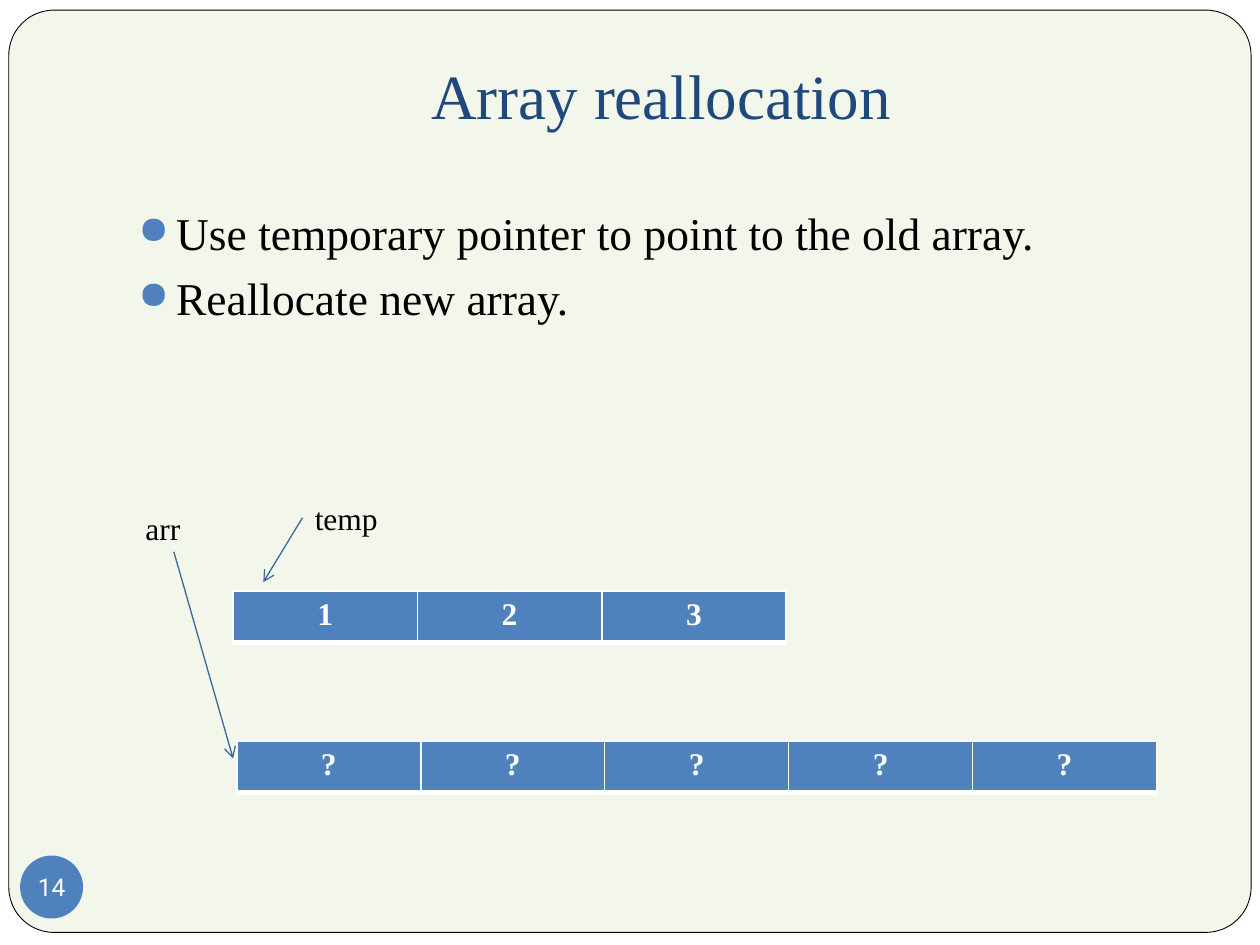
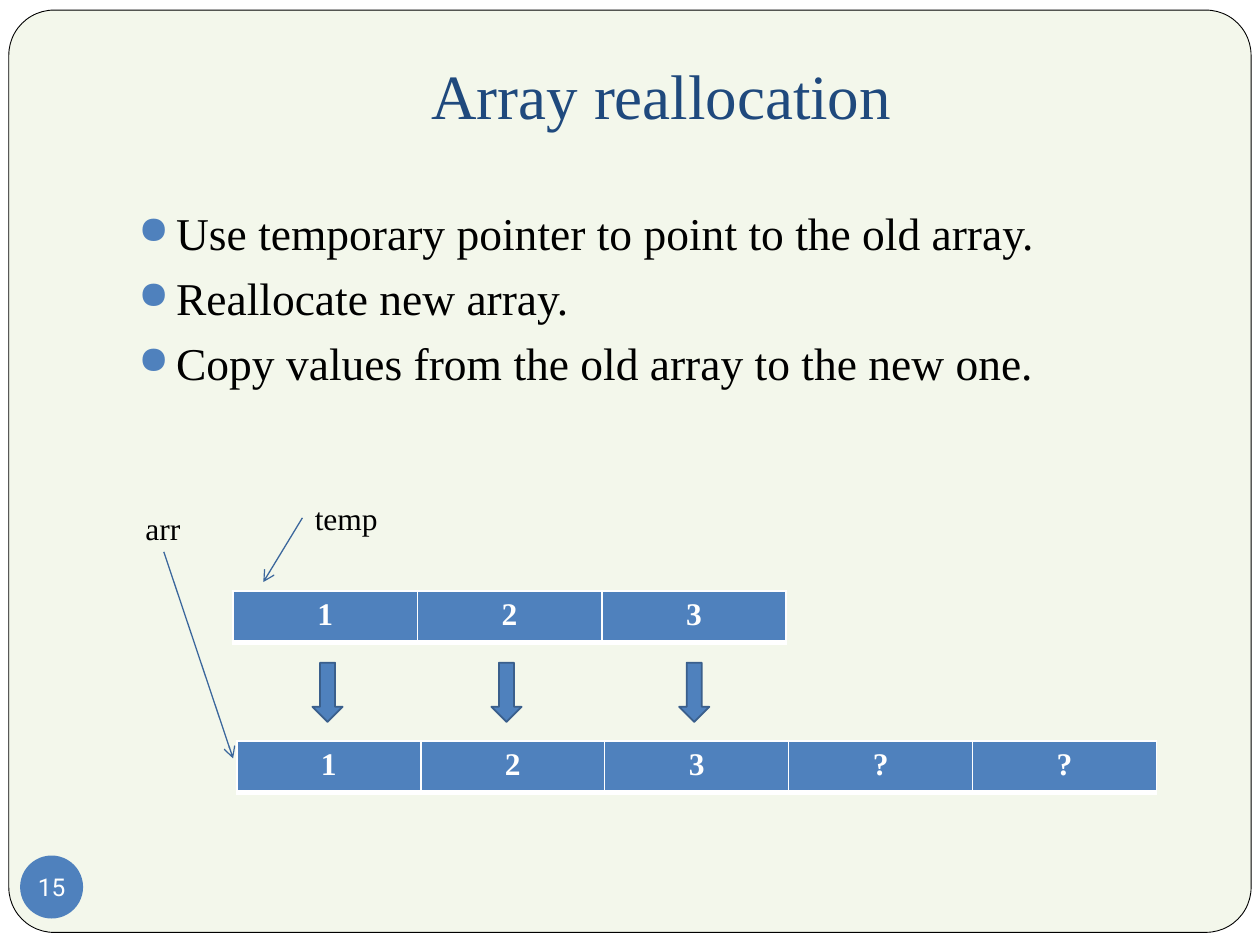
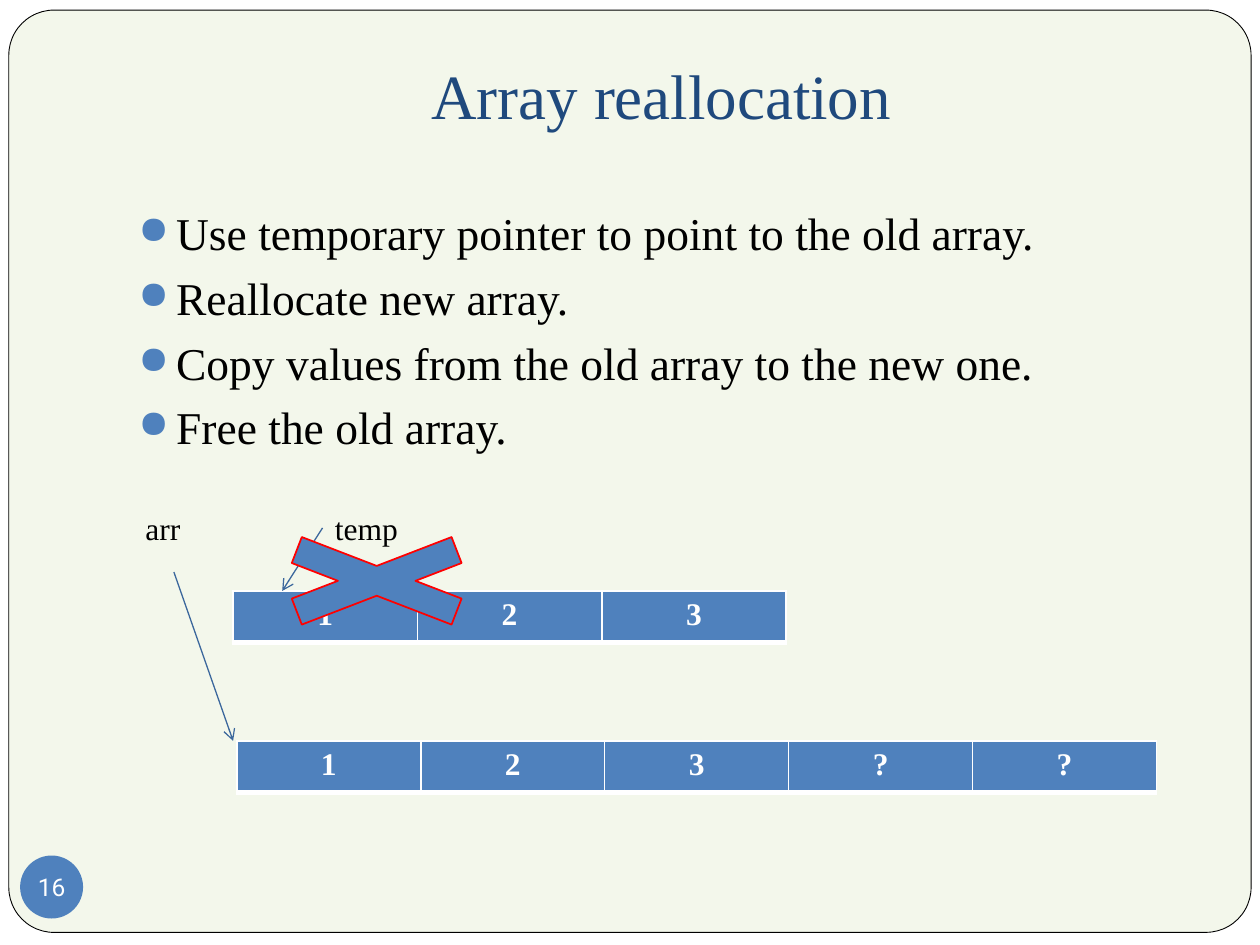
from lxml import etree
from pptx import Presentation
from pptx import util as u
from pptx.dml.color import RGBColor
from pptx.enum import shapes, text
from pptx.oxml.ns import qn

SERIF = "Times New Roman"
NUMBER_FONT = "Roboto"
WHITE = "FFFFFF"
BLACK = "000000"
BLUE = "4F81BD"
NAVY = "1F497D"
GREEN = "D7E4BD"
POINTER = "3B679C"
ARROW_EDGE = "3A5F8C"
RED = "FF0000"

Inches = u.Inches
Shape = shapes.MSO_SHAPE
Align = text.PP_ALIGN
Anchor = text.MSO_ANCHOR


def color(value):
    return RGBColor.from_string(value)


def paint(fill, value):
    fill.solid()
    fill.fore_color.rgb = color(value)


def child(parent, tag, **attributes):
    return etree.SubElement(parent, qn(tag), attributes)


class Deck:
    def __init__(self):
        self.presentation = Presentation()
        self.presentation.slide_width = Inches(10)
        self.presentation.slide_height = Inches(7.5)
        self.slide = None

    def new_slide(self, title, number):
        self.slide = self.presentation.slides.add_slide(self.presentation.slide_layouts[6])
        paint(self.slide.background.fill, WHITE)
        self.shape(Shape.RECTANGLE, 0, 0, 10, 7.5, WHITE)
        frame = self.shape(Shape.ROUNDED_RECTANGLE, 0.07, 0.08, 9.86, 7.32, GREEN, BLACK, 0.5)
        frame.adjustments[0] = 0.049
        tint = frame.fill._xPr.find(qn("a:solidFill"))[0]
        child(tint, "a:alpha", val="29000")
        heading = self.text_box(title, 1, 0.38, 8.5, 0.77, 36, NAVY, Align.CENTER)
        heading.vertical_anchor = Anchor.BOTTOM
        heading.margin_bottom = Inches(0.1)
        self.badge(number)

    def shape(self, kind, left, top, width, height, fill, line=None, line_width=1):
        shape = self.slide.shapes.add_shape(
            kind, Inches(left), Inches(top), Inches(width), Inches(height))
        shape.shadow.inherit = False
        paint(shape.fill, fill)
        if line:
            paint(shape.line.fill, line)
            shape.line.width = u.Pt(line_width)
        else:
            shape.line.fill.background()
        return shape

    def style(self, paragraph, size, fill, align=None, font=SERIF, bold=None):
        paragraph.alignment = align
        paragraph.font.name = font
        paragraph.font.size = u.Pt(size)
        paragraph.font.color.rgb = color(fill)
        paragraph.font.bold = bold

    def text_box(self, words, left, top, width, height, size, fill, align=None):
        box = self.slide.shapes.add_textbox(
            Inches(left), Inches(top), Inches(width), Inches(height))
        frame = box.text_frame
        frame.word_wrap = True
        frame.text = words
        for paragraph in frame.paragraphs:
            self.style(paragraph, size, fill, align)
        return frame

    def badge(self, number):
        frame = self.shape(Shape.OVAL, 0.16, 6.79, 0.5, 0.5, BLUE).text_frame
        frame.margin_left = frame.margin_right = frame.margin_top = frame.margin_bottom = 0
        frame.vertical_anchor = Anchor.MIDDLE
        frame.word_wrap = False
        frame.text = str(number)
        self.style(frame.paragraphs[0], 14, WHITE, Align.CENTER, NUMBER_FONT)

    def bullets(self, lines):
        frame = self.text_box("\n".join(lines), 1, 1.58, 8.5, 5, 26, BLACK)
        for paragraph in frame.paragraphs:
            paragraph.space_before = u.Pt(5.8)
            properties = paragraph._p.get_or_add_pPr()
            properties.set("marL", str(Inches(0.3)))
            properties.set("indent", str(-Inches(0.3)))
            run_defaults = properties.find(qn("a:defRPr"))
            bullet_color = child(properties, "a:buClr")
            child(bullet_color, "a:srgbClr", val=BLUE)
            size = child(properties, "a:buSzPct", val="85000")
            mark = child(properties, "a:buChar", char="●")
            for item in (bullet_color, size, mark):
                run_defaults.addprevious(item)

    def label(self, words, left, top, align=None):
        frame = self.text_box(words, left, top, 1.1, 0.4, 18, BLACK, align)
        frame.auto_size = text.MSO_AUTO_SIZE.SHAPE_TO_FIT_TEXT

    def array(self, values, left, top, width):
        table = self.slide.shapes.add_table(
            1, len(values), Inches(left), Inches(top), Inches(width), Inches(0.41)).table
        table.first_row = table.horz_banding = False
        for cell, value in zip(table.rows[0].cells, values):
            cell.text = value
            self.style(cell.text_frame.paragraphs[0], 18, WHITE, Align.CENTER, bold=True)
            properties = cell._tc.get_or_add_tcPr()
            for side, points in (("L", 1), ("R", 1), ("T", 1), ("B", 3)):
                border = child(properties, "a:ln" + side, w=str(u.Pt(points)))
                child(child(border, "a:solidFill"), "a:srgbClr", val=WHITE)
            paint(cell.fill, BLUE)

    def pointer(self, start, end):
        connector = self.slide.shapes.add_connector(
            shapes.MSO_CONNECTOR.STRAIGHT, *map(Inches, start + end))
        connector.line.width = u.Pt(0.75)
        paint(connector.line.fill, POINTER)
        child(connector.line._get_or_add_ln(), "a:tailEnd", type="arrow")
        child(connector._element.spPr, "a:effectLst")


STEPS = [
    "Use temporary pointer to point to the old array.",
    "Reallocate new array.",
    "Copy values from the old array to the new one.",
    "Free the old array.",
]
COPY_ARROWS = (2.48, 3.9, 5.39)

deck = Deck()


def reallocation_slide(number, step_count, new_values, temp_at, temp_line, arr_line, arrows=()):
    deck.new_slide("Array reallocation", number)
    deck.bullets(STEPS[:step_count])
    deck.array("123", 1.85, 4.69, 4.39)
    deck.array(new_values, 1.88, 5.88, 7.3)
    for left in arrows:
        deck.shape(Shape.DOWN_ARROW, left, 5.26, 0.24, 0.47, BLUE, ARROW_EDGE)
    deck.label("arr", 0.43, 3.99, Align.RIGHT)
    deck.label("temp", *temp_at)
    deck.pointer(*temp_line)
    deck.pointer(*arr_line)


TEMP_AT = (2.4, 3.91)
TEMP_LINE = ((2.4, 4.11), (2.09, 4.62))

reallocation_slide(14, 2, "?????", TEMP_AT, TEMP_LINE, ((1.38, 4.38), (1.85, 6.02)))
reallocation_slide(15, 3, "123??", TEMP_AT, TEMP_LINE, ((1.3, 4.38), (1.85, 6.02)), COPY_ARROWS)
reallocation_slide(16, 4, "123??", (2.56, 3.99), ((2.56, 4.19), (2.24, 4.69)),
                   ((1.38, 4.54), (1.85, 5.88)))
deck.shape(Shape.MATH_MULTIPLY, 1.77, 4.14, 2.44, 0.94, BLUE, RED)

deck.presentation.save("out.pptx")
